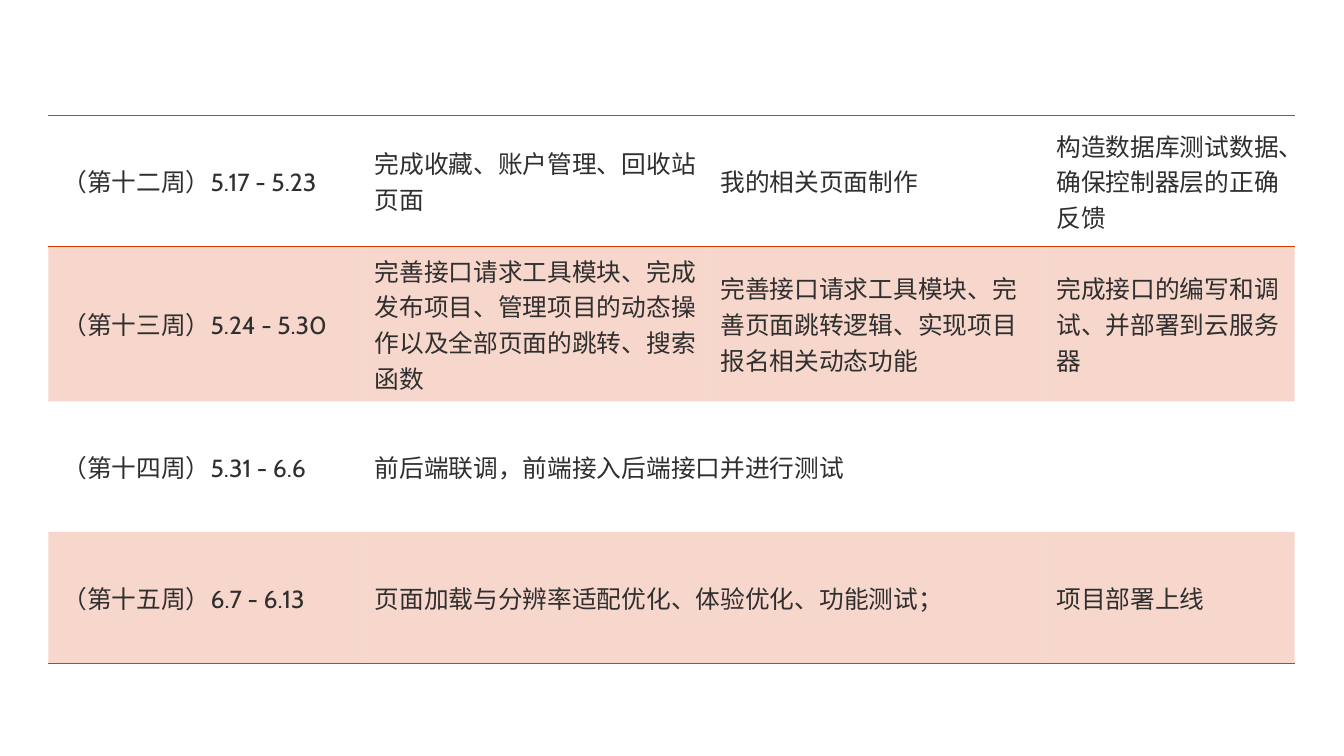
from dataclasses import dataclass

from lxml import etree
from pptx import Presentation
from pptx.dml.color import RGBColor
from pptx.enum.text import MSO_ANCHOR
from pptx.oxml.ns import qn
from pptx.util import Pt

MIDDLE = MSO_ANCHOR.MIDDLE
NO_STYLE_NO_GRID = "{2D5ABB26-0587-4C30-8999-92F81FD0307C}"


@dataclass(frozen=True)
class Theme:
    accent: str = "D83B01"
    text: str = "2F2F2F"
    font: str = "Cabin"
    size: float = 18
    band_opacity: int = 20
    rule_width: float = 1


@dataclass(frozen=True)
class Entry:
    text: str
    span: int = 1


@dataclass(frozen=True)
class Week:
    entries: tuple[Entry, ...]
    banded: bool = False
    rules: tuple[str, ...] = ()


THEME = Theme()
SLIDE_SIZE = (979.2, 550.8)
TABLE_LEFT, TABLE_TOP = 35.3, 84.2
COLUMN_WIDTHS = (227.5, 254.9, 244.8, 180.7)
ROW_HEIGHT = 95.4
WIDE_INSET_COLUMNS = 2
WIDE_INSETS = {"margin_left": 10.2, "margin_right": 10.2,
               "margin_top": 4.3, "margin_bottom": 4.3}

WEEKS = (
    Week((Entry("（第十二周）5.17 - 5.23"),
          Entry("完成收藏、账户管理、回收站页面"),
          Entry("我的相关页面制作"),
          Entry("构造数据库测试数据、确保控制器层的正确反馈")),
         rules=("a:lnT", "a:lnB")),
    Week((Entry("（第十三周）5.24 - 5.30"),
          Entry("完善接口请求工具模块、完成发布项目、管理项目的动态操作以及全部页面的跳转、搜索函数"),
          Entry("完善接口请求工具模块、完善页面跳转逻辑、实现项目报名相关动态功能"),
          Entry("完成接口的编写和调试、并部署到云服务器")),
         banded=True),
    Week((Entry("（第十四周）5.31 - 6.6"),
          Entry("前后端联调，前端接入后端接口并进行测试", span=3))),
    Week((Entry("（第十五周）6.7 - 6.13"),
          Entry("页面加载与分辨率适配优化、体验优化、功能测试；", span=2),
          Entry("项目部署上线")),
         banded=True, rules=("a:lnB",)),
)


def style_cell(cell, week: Week) -> None:
    """Set the band fill and the horizontal rules of a cell."""
    properties = cell._tc.get_or_add_tcPr()
    if week.banded:
        cell.fill.solid()
        cell.fill.fore_color.rgb = RGBColor.from_string(THEME.accent)
        color = properties.find(qn("a:solidFill")).find(qn("a:srgbClr"))
        etree.SubElement(color, qn("a:alpha"), val=str(THEME.band_opacity * 1000))
    else:
        cell.fill.background()
    # Borders come before the fill
    for position, side in enumerate(week.rules):
        line = etree.Element(qn(side), w=str(Pt(THEME.rule_width)))
        line_fill = etree.SubElement(line, qn("a:solidFill"))
        etree.SubElement(line_fill, qn("a:srgbClr"), val=THEME.accent)
        properties.insert(position, line)


def write_entry(cell, text: str, wide_insets: bool) -> None:
    """Write the text of a cell in the theme's type."""
    cell.vertical_anchor = MIDDLE
    if wide_insets:
        for name, value in WIDE_INSETS.items():
            setattr(cell, name, Pt(value))
    run = cell.text_frame.paragraphs[0].add_run()
    run.text = text
    for name, value in {"name": THEME.font, "size": Pt(THEME.size)}.items():
        setattr(run.font, name, value)
    run.font.color.rgb = RGBColor.from_string(THEME.text)


def add_schedule(slide) -> None:
    """Add the weekly schedule table."""
    frame = slide.shapes.add_table(
        len(WEEKS), len(COLUMN_WIDTHS), Pt(TABLE_LEFT), Pt(TABLE_TOP),
        Pt(sum(COLUMN_WIDTHS)), Pt(ROW_HEIGHT * len(WEEKS)))
    table = frame.table
    for name in ("first_row", "horz_banding"):
        setattr(table, name, False)
    table._tbl.tblPr.find(qn("a:tableStyleId")).text = NO_STYLE_NO_GRID
    for column, width in zip(table.columns, COLUMN_WIDTHS):
        column.width = Pt(width)

    # One row per week
    for row_index, week in enumerate(WEEKS):
        table.rows[row_index].height = Pt(ROW_HEIGHT)
        for cell in table.rows[row_index].cells:
            style_cell(cell, week)
        column_index = 0
        for entry in week.entries:
            cell = table.cell(row_index, column_index)
            if entry.span > 1:
                cell.merge(table.cell(row_index, column_index + entry.span - 1))
            write_entry(cell, entry.text, column_index < WIDE_INSET_COLUMNS)
            column_index += entry.span


def main() -> None:
    presentation = Presentation()
    presentation.slide_width, presentation.slide_height = map(Pt, SLIDE_SIZE)
    slide = presentation.slides.add_slide(presentation.slide_layouts[6])
    add_schedule(slide)
    presentation.save("out.pptx")


if __name__ == "__main__":
    main()
